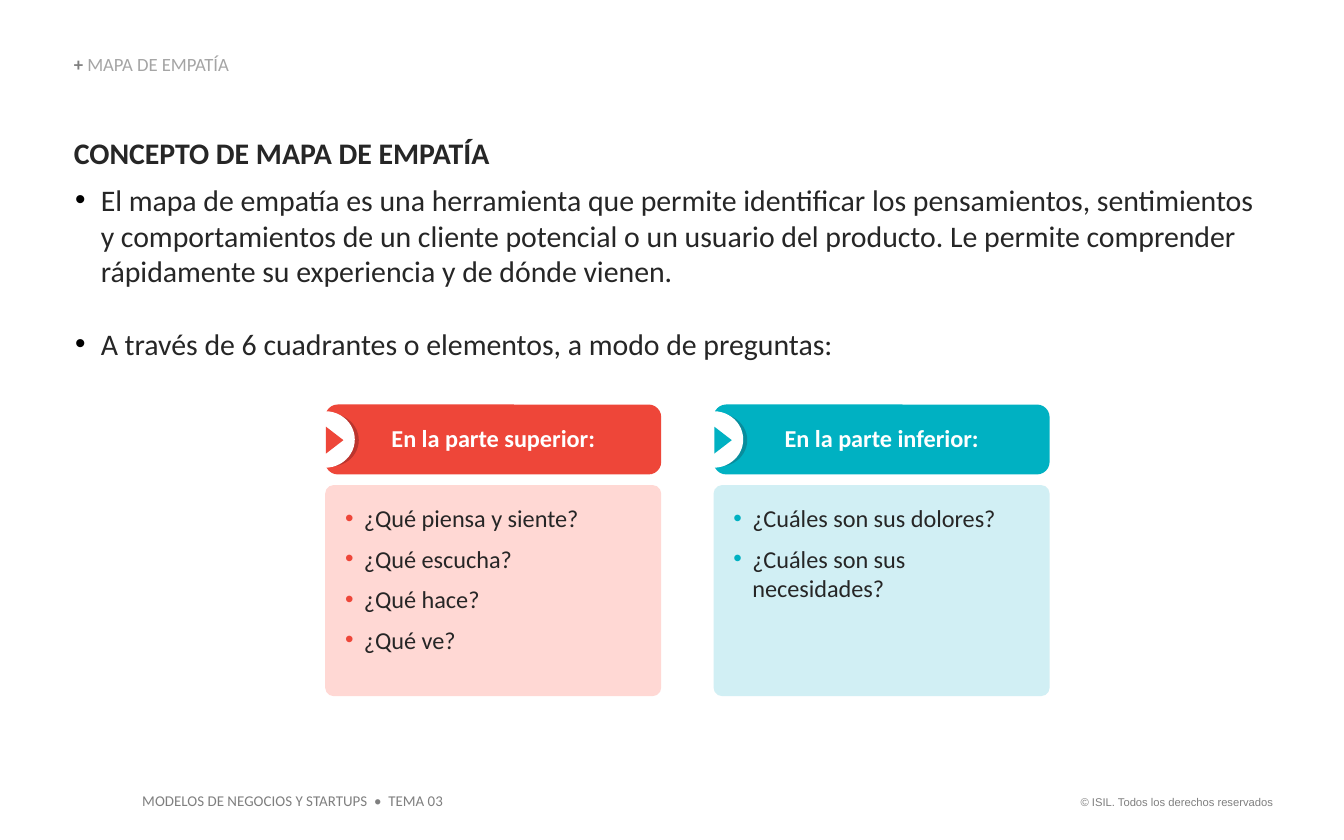
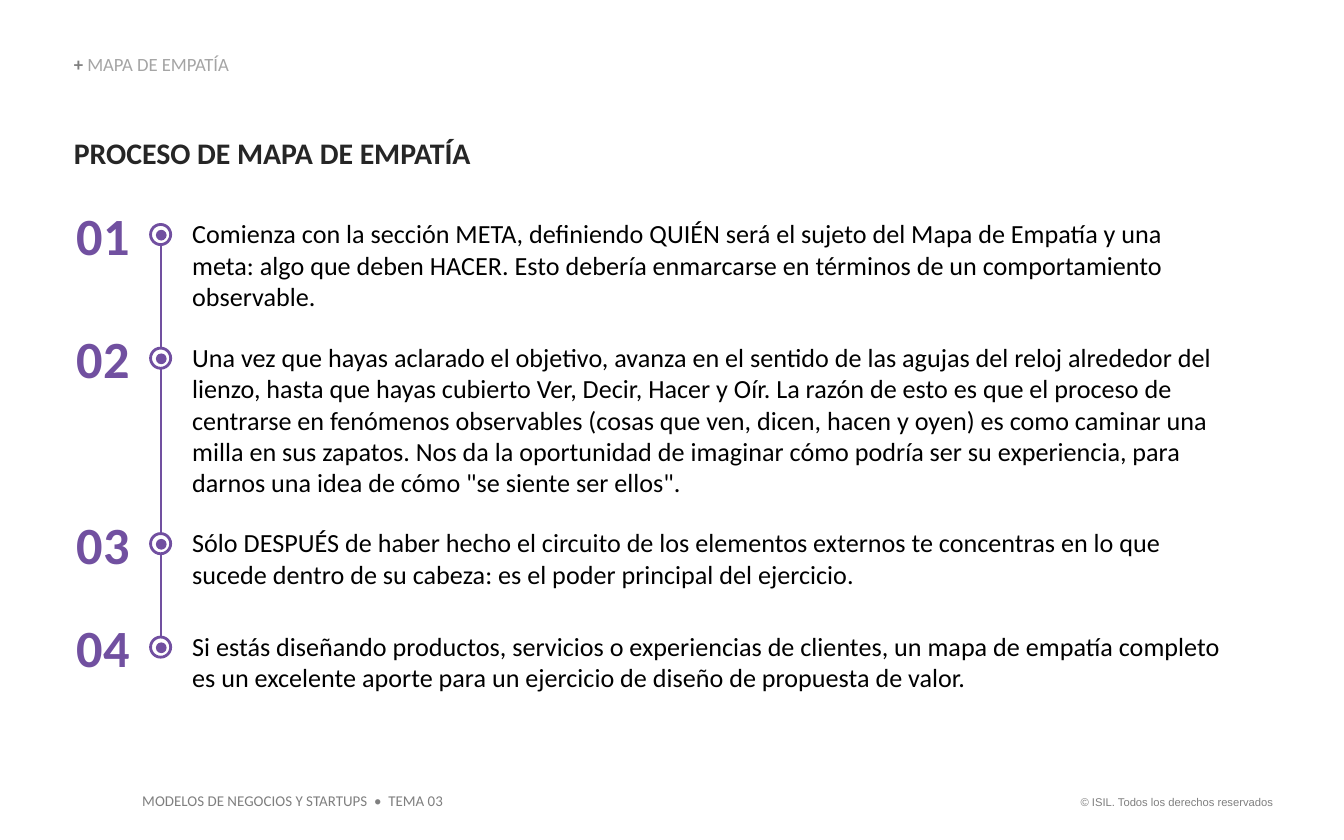
from lxml import etree
from pptx import Presentation
from pptx.dml.color import RGBColor
from pptx.enum import shapes as sh, text as tx
from pptx.oxml.ns import qn
from pptx.util import Inches, Pt

FONT = "Calibri"
DARK, GRAY, PALE = "262626", "7F7F7F", "A5A5A5"
BLACK, WHITE = "000000", "FFFFFF"
PURPLE, RING = "7150A0", "714FA0"
LEFT, MID = tx.PP_ALIGN.LEFT, tx.PP_ALIGN.CENTER
INSET = (0.1, 0.05, 0.1, 0.05)
FLUSH = (0, 0, 0, 0)

# left edge, head, questions, main colour, dark colour, pale colour
CARDS = [
    (5.31, "En la parte inferior:",
     ["¿Cuáles son sus dolores?", "¿Cuáles son sus necesidades?"],
     "00B1C2", "088D9D", "D1EFF4"),
    (2.42, "En la parte superior:",
     ["¿Qué piensa y siente?", "¿Qué escucha?", "¿Qué hace?", "¿Qué ve?"],
     "EE4639", "BB352E", "FFD8D4"),
]

# top edge, number of lines, text
STEPS = [
    (1.62, 3, "Comienza con la sección META, definiendo QUIÉN será el sujeto del "
     "Mapa de Empatía y una meta: algo que deben HACER. Esto debería enmarcarse "
     "en términos de un comportamiento observable."),
    (2.54, 5, "Una vez que hayas aclarado el objetivo, avanza en el sentido de las "
     "agujas del reloj alrededor del lienzo, hasta que hayas cubierto Ver, Decir, "
     "Hacer y Oír. La razón de esto es que el proceso de centrarse en fenómenos "
     "observables (cosas que ven, dicen, hacen y oyen) es como caminar una milla "
     "en sus zapatos. Nos da la oportunidad de imaginar cómo podría ser su "
     "experiencia, para darnos una idea de cómo \"se siente ser ellos\"."),
    (3.92, 2, "Sólo DESPUÉS de haber hecho el circuito de los elementos externos te "
     "concentras en lo que sucede dentro de su cabeza: es el poder principal del "
     "ejercicio."),
    (4.69, 2, "Si estás diseñando productos, servicios o experiencias de clientes, "
     "un mapa de empatía completo es un excelente aporte para un ejercicio de "
     "diseño de propuesta de valor."),
]


def color(code):
    return RGBColor.from_string(code)


def style(font, size, code, bold=False, name=FONT):
    font.name, font.size, font.bold = name, Pt(size), bold
    font.color.rgb = color(code)


def frame(shape, inset, anchor=tx.MSO_ANCHOR.TOP):
    """Set wrap, insets and anchor, and return the text frame."""
    body = shape.text_frame
    body.word_wrap = True
    body.auto_size = tx.MSO_AUTO_SIZE.NONE
    body.vertical_anchor = anchor
    (body.margin_left, body.margin_top,
     body.margin_right, body.margin_bottom) = map(Inches, inset)
    return body


def bullet(para, code, left, hang):
    props = para._p.get_or_add_pPr()
    props.set("marL", str(Inches(left)))
    props.set("indent", str(-Inches(hang)))
    tint = etree.SubElement(props, qn("a:buClr"))
    etree.SubElement(tint, qn("a:srgbClr"), val=code)
    etree.SubElement(props, qn("a:buFont"), typeface="Arial")
    etree.SubElement(props, qn("a:buChar"), char="•")


def write(para, text, size, code, bold=False, align=LEFT, name=FONT):
    para.text = text
    para.alignment = align
    style(para.font, size, code, bold, name)


def label(slide, box, text, size, code, bold=False, align=LEFT,
          name=FONT, inset=FLUSH):
    """Add a text box with one paragraph and return its text frame."""
    body = frame(slide.shapes.add_textbox(*map(Inches, box)), inset)
    write(body.paragraphs[0], text, size, code, bold, align, name)
    return body


def solid(parent, kind, box, fill, line=None, adjust=None):
    shape = parent.add_shape(kind, *map(Inches, box))
    shape.shadow.inherit = False
    shape.fill.solid()
    shape.fill.fore_color.rgb = color(fill)
    if line:
        shape.line.color.rgb = color(line)
        shape.line.width = Pt(1.5)
    else:
        shape.line.fill.background()
    if adjust is not None:
        shape.adjustments[0] = adjust
    return shape


def start(deck):
    """Add a slide with the shared title and footers."""
    slide = deck.slides.add_slide(deck.slide_layouts[5])
    title = slide.shapes.title
    title.left, title.top, title.width, title.height = map(
        Inches, (0.55, 0.41, 4.25, 0.15))
    para = frame(title, FLUSH, tx.MSO_ANCHOR.BOTTOM).paragraphs[0]
    para.alignment, para.line_spacing = LEFT, 0.9
    for text, code, bold in (("+ ", GRAY, True), ("MAPA DE EMPATÍA", PALE, False)):
        run = para.add_run()
        run.text = text
        style(run.font, 10, code, bold)
    label(slide, (7.88, 5.87, 1.69, 0.2), "© ISIL. Todos los derechos reservados",
          6, GRAY, align=tx.PP_ALIGN.RIGHT, name="Arial", inset=INSET)
    label(slide, (0.96, 5.84, 2.45, 0.24),
          "MODELOS DE NEGOCIOS Y STARTUPS  •  TEMA 03", 8, GRAY, inset=INSET)
    return slide


def card(slide, left, head, items, main_tone, dark, pale):
    parent = slide.shapes.add_group_shape().shapes
    kinds = sh.MSO_SHAPE
    band = solid(parent, kinds.ROUNDED_RECTANGLE, (left, 3.01, 2.5, 0.52),
                 main_tone, adjust=0.18)
    para = frame(band, INSET, tx.MSO_ANCHOR.MIDDLE).paragraphs[0]
    write(para, head, 13, WHITE, True, MID)
    para.line_spacing = 0.9

    panel = solid(parent, kinds.ROUNDED_RECTANGLE, (left, 3.61, 2.5, 1.57),
                  pale, adjust=0.04)
    body = frame(panel, (0.12, 0.12, 0.12, 0.05))
    for i, item in enumerate(items):
        para = body.add_paragraph() if i else body.paragraphs[0]
        bullet(para, main_tone, 0.15, 0.14)
        write(para, item, 13, DARK)
        if i:
            para.space_before = Pt(6)

    solid(parent, kinds.OVAL, (left - 0.16, 3.08, 0.41, 0.39), dark)
    solid(parent, kinds.OVAL, (left - 0.22, 3.06, 0.44, 0.42), WHITE)
    arrow = solid(parent, kinds.ISOSCELES_TRIANGLE,
                  (left - 0.03, 3.21, 0.2, 0.13), main_tone)
    arrow.rotation = 90


def rail(slide, x, top, end):
    line = slide.shapes.add_connector(
        sh.MSO_CONNECTOR.STRAIGHT, *map(Inches, (x, top, x, end)))
    line.line.color.rgb = color(PURPLE)
    line.line.width = Pt(1)
    etree.SubElement(line._element.spPr, qn("a:effectLst"))


def step(slide, num, top, lines, text):
    label(slide, (1.43, top, 7.71, 0.24 * lines), text, 14, BLACK)
    label(slide, (0.55, top - 0.11, 0.44, 0.47), f"{num:02}", 28, PURPLE, True, MID)
    parent = slide.shapes.add_group_shape().shapes
    oval = sh.MSO_SHAPE.OVAL
    solid(parent, oval, (1.12, top + 0.05, 0.15, 0.15), WHITE, RING)
    solid(parent, oval, (1.16, top + 0.09, 0.08, 0.08), RING)


def concept(deck):
    slide = start(deck)
    body = label(slide, (0.55, 1, 8.91, 1.7), "CONCEPTO DE MAPA DE EMPATÍA",
                 16, DARK, True)
    points = [
        (6, "El mapa de empatía es una herramienta que permite identificar los "
         "pensamientos, sentimientos y comportamientos de un cliente potencial o "
         "un usuario del producto. Le permite comprender rápidamente su "
         "experiencia y de dónde vienen."),
        (19.5, "A través de 6 cuadrantes o elementos, a modo de preguntas:"),
    ]
    for gap, text in points:
        para = body.add_paragraph()
        bullet(para, BLACK, 0.2, 0.19)
        write(para, text, 16, DARK)
        para.space_before = Pt(gap)
    for item in CARDS:
        card(slide, *item)


def process(deck):
    slide = start(deck)
    label(slide, (0.55, 1, 8.93, 0.27), "PROCESO DE MAPA DE EMPATÍA", 16, DARK, True)
    rail(slide, 1.2, 1.79, 4.86)
    for num, item in enumerate(STEPS, 1):
        step(slide, num, *item)


def main():
    deck = Presentation()
    deck.slide_width, deck.slide_height = Inches(10), Inches(6.25)
    concept(deck)
    process(deck)
    deck.save("out.pptx")


if __name__ == "__main__":
    main()
